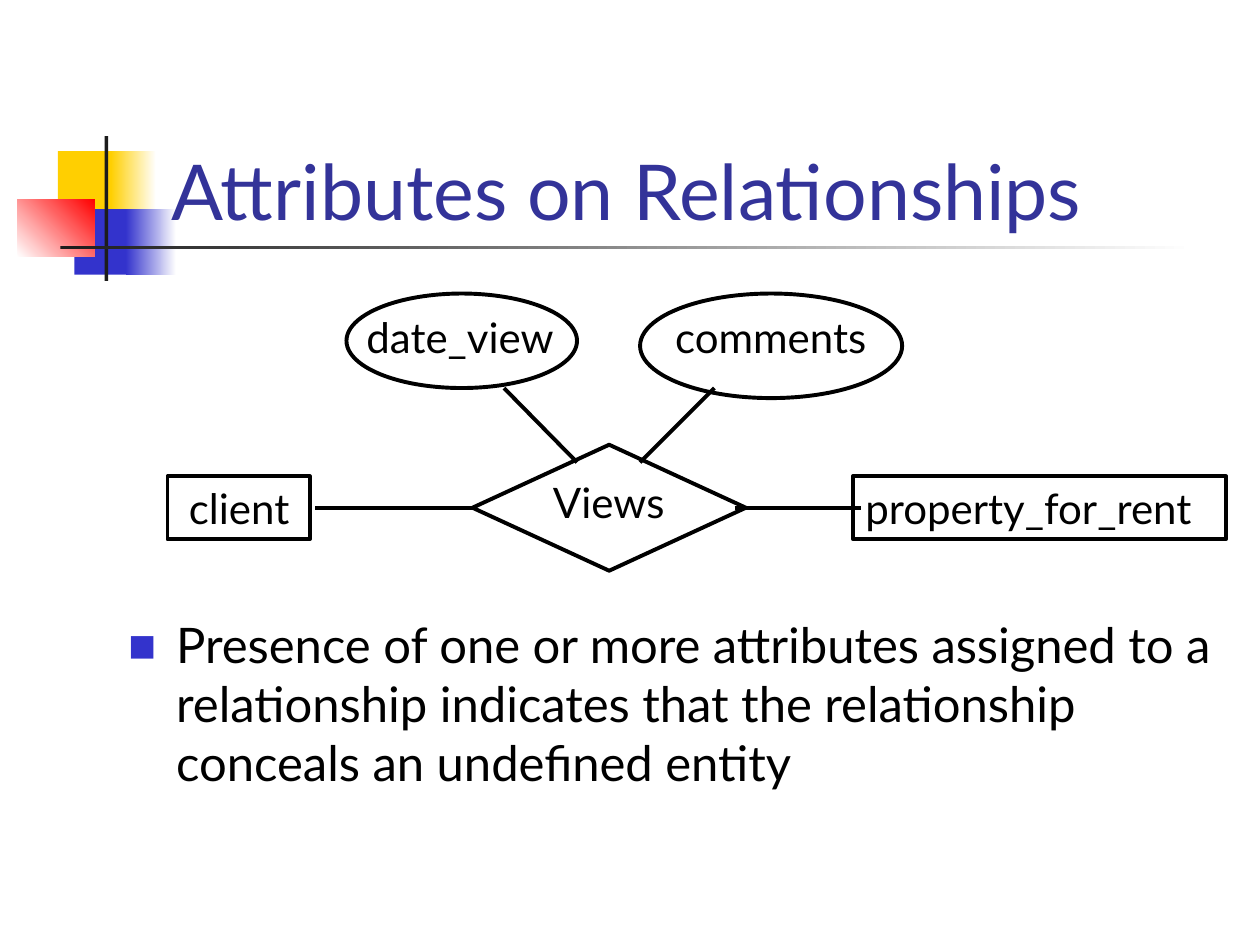
from lxml import etree
from pptx import Presentation
from pptx.dml.color import RGBColor
from pptx.enum import shapes, text
from pptx.oxml import ns
from pptx.util import Inches, Pt

FONT = "Lato"
HUES = {
    "ink": "000000", "title": "333399", "blue": "3333CC", "gold": "FFCF01",
    "red": "FF0000", "dark": "1C1C1C", "white": "FFFFFF",
}
KIND = shapes.MSO_SHAPE


def rgb(name):
    return RGBColor.from_string(HUES[name])


def add_form(slide, kind, box):
    form = slide.shapes.add_shape(kind, *map(Inches, box))
    form.shadow.inherit = False
    return form


def add_block(slide, box, hue, fade=None, angle=0):
    """Borderless block, plain or fading from one colour to another."""
    block = add_form(slide, KIND.RECTANGLE, box)
    block.line.fill.background()
    if fade is None:
        block.fill.solid()
        block.fill.fore_color.rgb = rgb(hue)
        return
    block.fill.gradient()
    block.fill.gradient_angle = angle
    for stop, name in zip(block.fill.gradient_stops, (hue, fade)):
        stop.color.rgb = rgb(name)


def add_node(slide, kind, box):
    """Outlined diagram node."""
    node = add_form(slide, kind, box)
    node.fill.background()
    node.line.color.rgb = rgb("ink")
    node.line.width = Pt(2.25)
    return node


def add_link(slide, start, end):
    link = slide.shapes.add_connector(
        shapes.MSO_CONNECTOR.STRAIGHT, *map(Inches, start + end))
    link.line.color.rgb = rgb("ink")
    link.line.width = Pt(2.25)
    etree.SubElement(link._element.spPr, ns.qn("a:effectLst"))


def write(shape, words, size=24, hue="ink", anchor=text.MSO_ANCHOR.TOP,
          left=0.1, right=0):
    frame = shape.text_frame
    frame.word_wrap = True
    frame.vertical_anchor = anchor
    frame.margin_left, frame.margin_right = Inches(left), Inches(right)
    para = frame.paragraphs[0]
    para.alignment = text.PP_ALIGN.LEFT
    run = para.add_run()
    run.text = words
    run.font.name = FONT
    run.font.size = Pt(size)
    run.font.color.rgb = rgb(hue)
    return para


def add_text(slide, box, words, **style):
    return write(slide.shapes.add_textbox(*map(Inches, box)), words, **style)


def add_bullet(para):
    props = para._p.get_or_add_pPr()
    props.set("marL", str(Inches(0.38)))
    props.set("indent", str(-Inches(0.38)))
    color = etree.SubElement(props, ns.qn("a:buClr"))
    etree.SubElement(color, ns.qn("a:srgbClr"), val=HUES["blue"])
    etree.SubElement(props, ns.qn("a:buSzPct"), val="60000")
    etree.SubElement(props, ns.qn("a:buFont"), typeface=FONT)
    etree.SubElement(props, ns.qn("a:buChar"), char="■")


def add_decor(slide):
    add_block(slide, (0.46, 1.2, 0.48, 0.52), "gold")
    add_block(slide, (0.88, 1.2, 0.36, 0.52), "gold", "white")
    add_block(slide, (0.59, 1.66, 0.46, 0.52), "blue")
    add_block(slide, (1, 1.66, 0.4, 0.52), "blue", "white")
    add_block(slide, (0.14, 1.58, 0.61, 0.46), "white", "red", 45)
    add_block(slide, (0.83, 1.08, 0.03, 1.15), "dark")
    add_block(slide, (0.48, 1.95, 9, 0.03), "dark", "white")


def add_diagram(slide):
    # Entities
    client = add_node(slide, KIND.RECTANGLE, (1.33, 3.78, 1.13, 0.5))
    write(client, "client", left=0.17)
    rent = add_node(slide, KIND.RECTANGLE, (6.77, 3.78, 2.96, 0.5))
    write(rent, "property_for_rent")

    # Relationship
    add_node(slide, KIND.FLOWCHART_DECISION, (3.75, 3.53, 2.17, 1))
    add_text(slide, (4.29, 3.73, 1.09, 0.5), "Views")

    # Attributes
    add_node(slide, KIND.OVAL, (2.75, 2.33, 1.83, 0.75))
    add_text(slide, (2.81, 2.42, 1.75, 0.5), "date_view")
    add_node(slide, KIND.OVAL, (5.08, 2.33, 2.08, 0.83))
    add_text(slide, (5.26, 2.42, 1.86, 0.5), "comments")

    # Links
    for start, end in (
        ((2.5, 4.03), (3.75, 4.03)),
        ((5.83, 4.03), (6.83, 4.03)),
        ((4, 3.08), (4.58, 3.67)),
        ((5.08, 3.67), (5.67, 3.08)),
    ):
        add_link(slide, start, end)


def main():
    deck = Presentation()
    deck.slide_width, deck.slide_height = Inches(10), Inches(7.5)
    slide = deck.slides.add_slide(deck.slide_layouts[6])

    add_decor(slide)
    add_text(slide, (1.26, 0.67, 8.52, 1.25), "Attributes on Relationships",
             size=44, hue="title", anchor=text.MSO_ANCHOR.BOTTOM, right=0.1)
    add_bullet(add_text(
        slide, (0.92, 4.83, 8.88, 1.87),
        "Presence of one or more attributes assigned to a relationship "
        "indicates that the relationship conceals an undefined entity",
        size=28, right=0.1))
    add_diagram(slide)
    deck.save("out.pptx")


if __name__ == "__main__":
    main()
